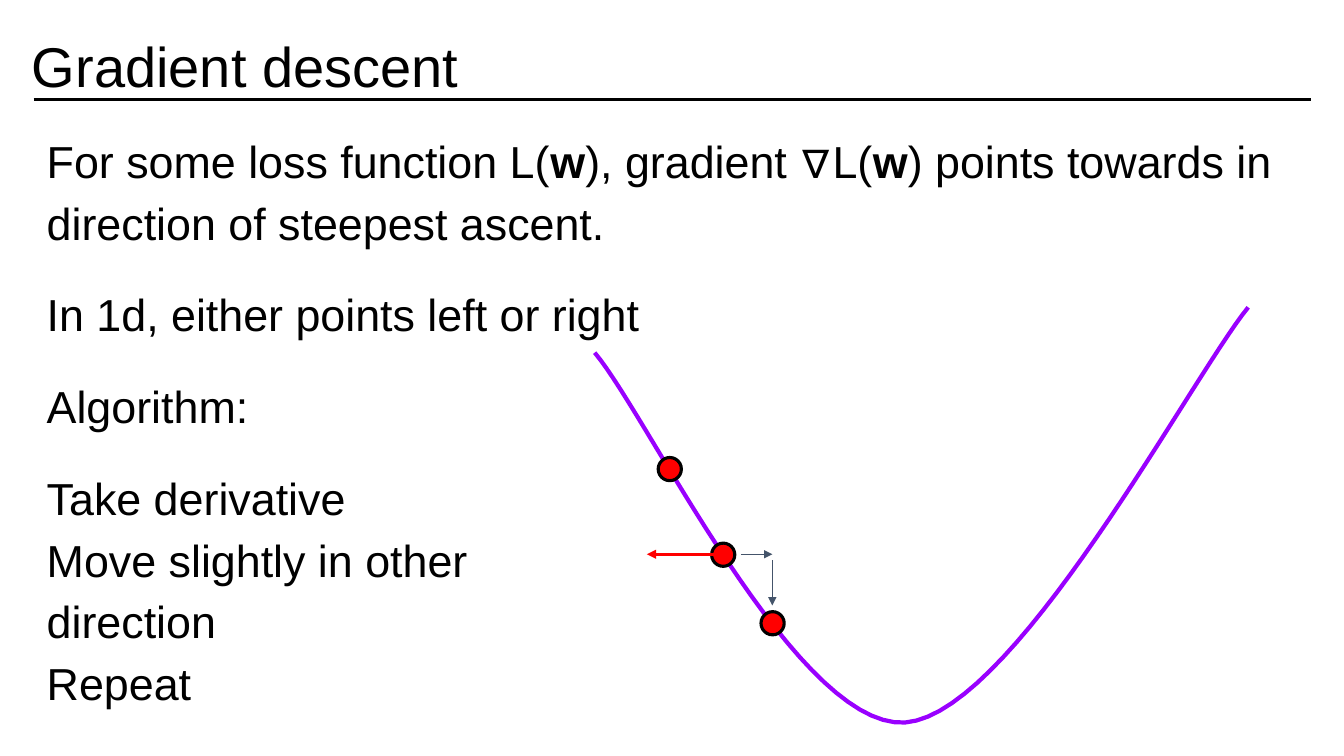
"""Build a slide that explains gradient descent beside a loss curve."""
from lxml import etree
from pptx import Presentation
from pptx.dml.color import RGBColor
from pptx.enum.shapes import MSO_CONNECTOR, MSO_SHAPE
from pptx.enum.text import MSO_ANCHOR, MSO_AUTO_SIZE, PP_ALIGN
from pptx.oxml.ns import qn
from pptx.util import Inches, Pt

LINE, OVAL = MSO_CONNECTOR.STRAIGHT, MSO_SHAPE.OVAL
TOP, BOTTOM = MSO_ANCHOR.TOP, MSO_ANCHOR.BOTTOM
LEFT, FIXED = PP_ALIGN.LEFT, MSO_AUTO_SIZE.NONE
BLACK = RGBColor(0x00, 0x00, 0x00)
WHITE = RGBColor(0xFF, 0xFF, 0xFF)
RED = RGBColor(0xFF, 0x00, 0x00)
SLATE = RGBColor(0x44, 0x54, 0x6A)
PURPLE = RGBColor(0x99, 0x00, 0xFF)

deck = Presentation()
deck.slide_width, deck.slide_height = Inches(13.33), Inches(7.5)
CELL = deck.slide_width / 160
slide = deck.slides.add_slide(deck.slide_layouts[1])
shapes = slide.shapes
title, body = slide.placeholders


def write(box, text, place, size=32, space=1.15, gap=0, anchor=TOP):
    """Place a box and fill it; bars switch bold on and off."""
    box.left, box.top, box.width, box.height = [round(n * CELL) for n in place]
    frame = box.text_frame
    frame.word_wrap, frame.auto_size = True, FIXED
    frame.vertical_anchor = anchor
    frame.margin_left = frame.margin_right = Inches(0.13)
    frame.margin_top = frame.margin_bottom = Inches(0.13)
    for i, words in enumerate(text):
        para = frame.add_paragraph() if i else frame.paragraphs[0]
        props = para._p.get_or_add_pPr()
        props.set("marL", "0")
        props.set("indent", "0")
        etree.SubElement(props, qn("a:buNone"))
        para.alignment, para.line_spacing = LEFT, space
        para.space_before = Pt(gap if i else 0)
        for row, line in enumerate(words.split("\n")):
            if row:
                para.add_line_break()
            for k, part in enumerate(line.split("|")):
                run = para.add_run()
                run.text = part
                font = run.font
                font.name, font.size, font.bold = "Arial", Pt(size), k % 2 == 1
                font.color.rgb = BLACK


def link(ends, color, width, head=True):
    """Draw a straight line, with an arrowhead at its end if wanted."""
    wire = shapes.add_connector(LINE, *[round(n * CELL) for n in ends])
    wire.line.color.rgb, wire.line.width = color, Pt(width)
    etree.SubElement(wire._element.spPr, qn("a:effectLst"))
    if head:
        tip = etree.SubElement(wire.line._get_or_add_ln(), qn("a:tailEnd"))
        tip.set("type", "triangle")


write(title, ["Gradient descent"], (2.25, 3.35, 155.5, 10.1),
      size=40, space=0.9, anchor=BOTTOM)
write(body, [
    "For some loss function L(|w|), gradient ∇L(|w|) points towards in "
    "direction of steepest ascent.",
    "In 1d, either points left or right",
    "Algorithm:",
    "Take derivative\nMove slightly in other\ndirection\nRepeat",
], (4, 13.4, 152.1, 74.5), gap=21.3)
body.fill.solid()
body.fill.fore_color.rgb = WHITE
tint = body._element.spPr.find(qn("a:solidFill"))[0]
etree.SubElement(tint, qn("a:alpha")).set("val", "60000")

link((4, 11.8, 156.1, 11.8), BLACK, 2.25, head=False)

STEPS = 30
bends = [
    [(148.6, 36.6), (141.84, 44.88), (120.72, 85.08), (107.76, 86.04)],
    [(107.76, 86.04), (94.8, 86.88), (77.04, 49.32), (70.8, 42)],
]
dots = []
for bend in bends:
    for i in range(STEPS + 1):
        t = i / STEPS
        parts = ((1 - t) ** 3, 3 * t * (1 - t) ** 2, 3 * t * t * (1 - t), t ** 3)
        dots.append([sum(p * spot[axis] for p, spot in zip(parts, bend)) * CELL
                     for axis in (0, 1)])
path = shapes.build_freeform(*dots[0])
path.add_line_segments(dots[1:], close=False)
curve = path.convert_to_shape()
curve.shadow.inherit = False
curve.fill.background()
curve.line.color.rgb, curve.line.width = PURPLE, Pt(3)

SIZE = 2.76
for x, y in [(79.74, 55.86), (86.1, 66.06), (91.98, 74.22)]:
    box = (x - SIZE / 2, y - SIZE / 2, SIZE, SIZE)
    ball = shapes.add_shape(OVAL, *[round(n * CELL) for n in box])
    ball.shadow.inherit = False
    ball.fill.solid()
    ball.fill.fore_color.rgb = RED
    ball.line.color.rgb, ball.line.width = BLACK, Pt(2.25)

link((88.2, 66, 91.95, 66), SLATE, 0.75)
link((91.95, 66.7, 91.95, 72.1), SLATE, 0.75)
link((85.4, 66, 77, 66), RED, 2.25)

deck.save("out.pptx")
